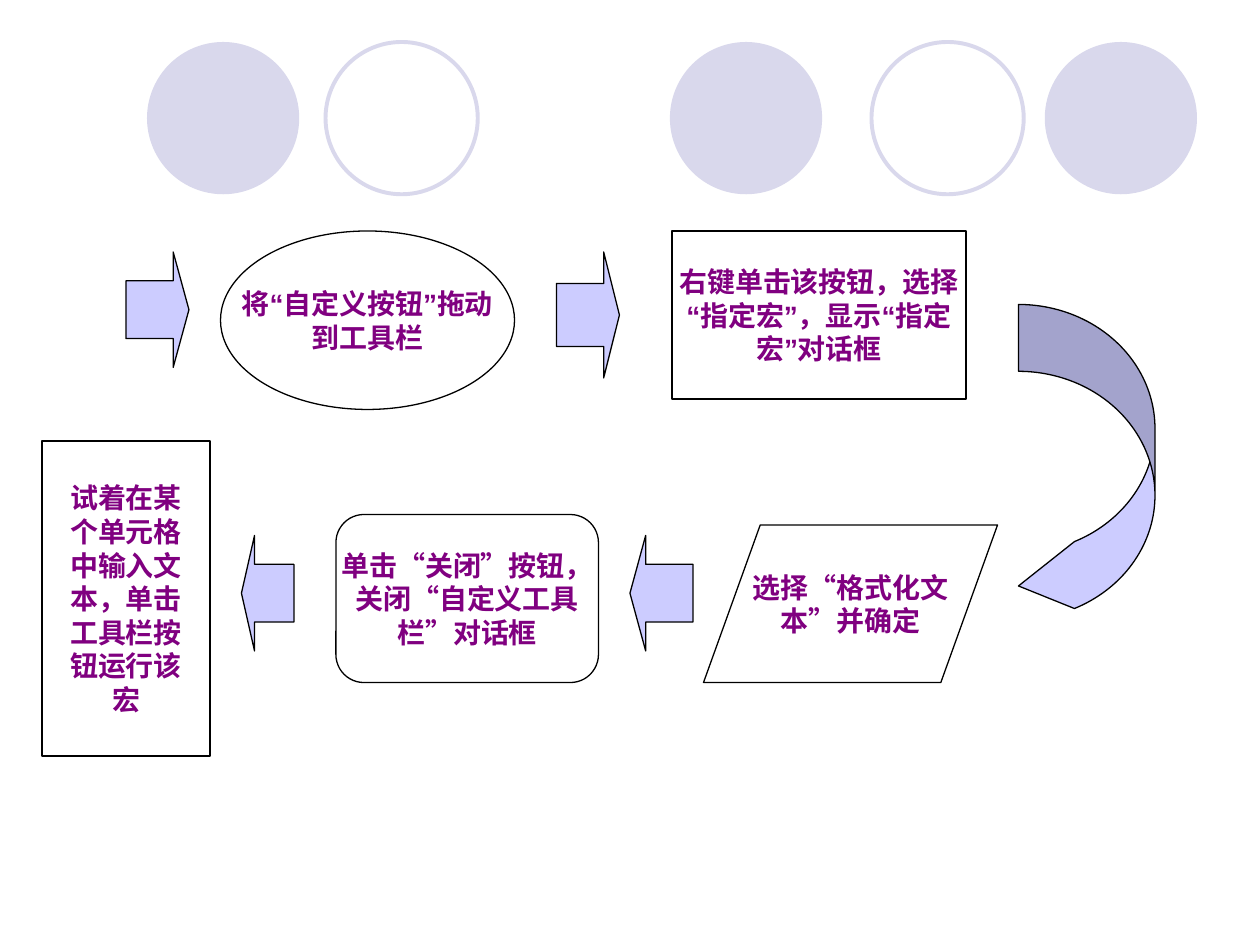
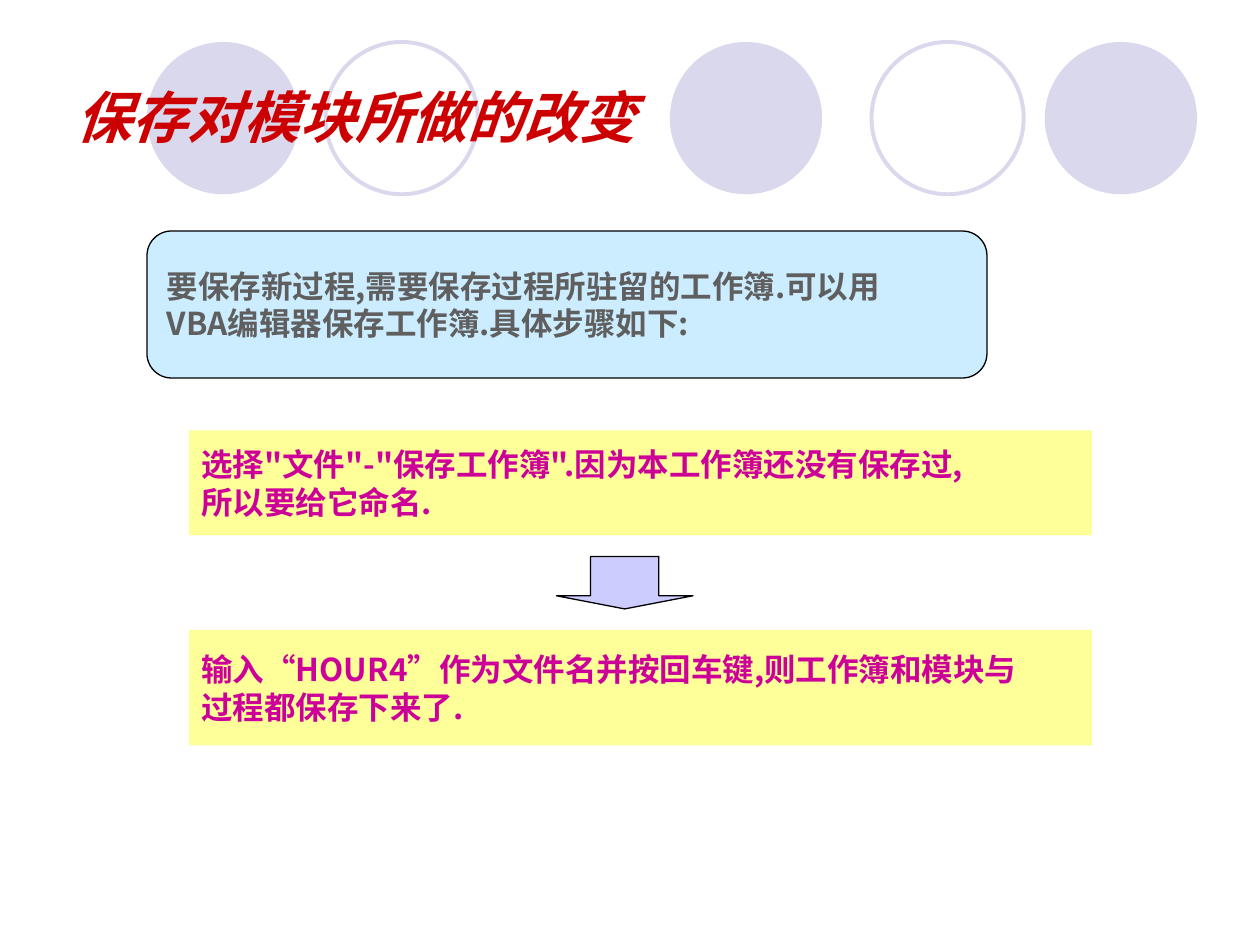
from dataclasses import dataclass

from lxml import etree
from pptx import Presentation
from pptx import util as u
from pptx.dml.color import RGBColor
from pptx.enum import shapes, text
from pptx.oxml.ns import qn

PX = u.Inches(1) // 120
SHAPE = shapes.MSO_SHAPE


@dataclass(frozen=True)
class Theme:
    circle: str = "D9D8EC"
    arrow: str = "CCCCFF"
    outline: str = "000000"
    step_text: str = "800080"
    title: str = "CC0000"
    intro_fill: str = "CCECFF"
    intro_text: str = "5F5F5F"
    note_fill: str = "FFFF99"
    note_text: str = "CC0099"
    latin: str = "Arial"
    cjk: str = "Noto Sans CJK SC"
    title_size: int = 32
    note_size: int = 18
    step_size: int = 16
    thin: float = 0.75
    ring: float = 2.25


class Deck:
    """Holds the theme and the slide being built."""

    def __init__(self, theme):
        self.theme = theme
        self.prs = Presentation()
        self.prs.slide_width, self.prs.slide_height = 1200 * PX, 900 * PX
        self.slide = None

    def new_slide(self, title=None):
        layout = self.prs.slide_layouts[5 if title else 6]
        self.slide = self.prs.slides.add_slide(layout)
        self.circles()
        if title:
            self.title(title)

    def circles(self):
        t = self.theme
        for left, filled in ((140, True), (310, False), (638, True),
                             (830, False), (995, True)):
            self.shape(SHAPE.OVAL, (left, 40, 145, 145),
                       fill=t.circle if filled else None,
                       line=None if filled else t.circle, weight=t.ring)

    def title(self, wording):
        t = self.theme
        heading = self.slide.shapes.title
        # Bring the heading in front of the circles
        self.slide.shapes._spTree.append(heading._element)
        heading.left, heading.top, heading.width, heading.height = (
            n * PX for n in (60, 36, 1080, 150))
        self.set_text(heading, wording, t.title_size, t.title, t.latin, t.cjk,
                      text.PP_ALIGN.LEFT, italic=True)

    def shape(self, kind, box, fill=None, line=None, weight=None, adjust=()):
        item = self.slide.shapes.add_shape(kind, *(n * PX for n in box))
        item.shadow.inherit = False
        for i, value in enumerate(adjust):
            item.adjustments[i] = value
        if fill:
            item.fill.solid()
            item.fill.fore_color.rgb = RGBColor.from_string(fill)
        else:
            item.fill.background()
        if line:
            item.line.color.rgb = RGBColor.from_string(line)
            item.line.width = u.Pt(weight or self.theme.thin)
        else:
            item.line.fill.background()
        return item

    def set_text(self, item, wording, size, color, latin, east_asian, align,
                 italic=False):
        frame = item.text_frame
        frame.text = wording
        frame.vertical_anchor = text.MSO_ANCHOR.MIDDLE
        for paragraph in frame.paragraphs:
            paragraph.alignment = align
            font = paragraph.font
            font.size, font.bold, font.italic = u.Pt(size), True, italic
            font.color.rgb = RGBColor.from_string(color)
            font.name = latin
            defaults = paragraph._p.pPr.find(qn("a:defRPr"))
            etree.SubElement(defaults, qn("a:ea"), typeface=east_asian)

    def step(self, kind, box, wording, adjust=(), east_asian=None):
        t = self.theme
        item = self.shape(kind, box, line=t.outline, adjust=adjust)
        item.text_frame.word_wrap = False
        self.set_text(item, wording, t.step_size, t.step_text, t.latin,
                      east_asian or t.cjk, text.PP_ALIGN.CENTER)

    def note(self, kind, box, wording, fill, color, line=None):
        t = self.theme
        item = self.shape(kind, box, fill=fill, line=line)
        item.text_frame.word_wrap = False
        self.set_text(item, wording, t.note_size, color, t.cjk, t.cjk,
                      text.PP_ALIGN.LEFT)

    def arrow(self, kind, box, adjust=(0.5, 0.25)):
        self.shape(kind, box, self.theme.arrow, self.theme.outline,
                   adjust=adjust)


def macro_button_slide(deck):
    latin = deck.theme.latin
    deck.new_slide()
    # Upper row, left to right
    deck.arrow(SHAPE.RIGHT_ARROW, (120, 240, 60, 110))
    deck.step(SHAPE.OVAL, (210, 220, 280, 170),
              "将“自定义按钮”拖动\n到工具栏", east_asian=latin)
    deck.arrow(SHAPE.RIGHT_ARROW, (530, 240, 60, 120))
    deck.step(SHAPE.RECTANGLE, (640, 220, 280, 160),
              "右键单击该按钮，选择\n“指定宏”，显示“指定\n宏”对话框",
              east_asian=latin)
    # Turn to the lower row
    deck.arrow(SHAPE.CURVED_LEFT_ARROW, (970, 290, 130, 300),
               (0.49, 0.49, 0.41))
    # Lower row, right to left
    deck.step(SHAPE.PARALLELOGRAM, (670, 500, 280, 150),
              "选择“格式化文\n本”并确定", (0.36,))
    deck.arrow(SHAPE.LEFT_ARROW, (600, 510, 60, 110))
    deck.step(SHAPE.ROUNDED_RECTANGLE, (320, 490, 250, 160),
              "单击“关闭”按钮，\n关闭“自定义工具\n栏”对话框")
    deck.arrow(SHAPE.LEFT_ARROW, (230, 510, 50, 110))
    deck.step(SHAPE.RECTANGLE, (40, 420, 160, 300),
              "试着在某\n个单元格\n中输入文\n本，单击\n工具栏按\n钮运行该\n宏")


def save_module_slide(deck):
    t = deck.theme
    deck.new_slide("保存对模块所做的改变")
    # Introduction
    deck.note(SHAPE.ROUNDED_RECTANGLE, (140, 220, 800, 140),
              "要保存新过程,需要保存过程所驻留的工作簿.可以用\n"
              "VBA编辑器保存工作簿.具体步骤如下:",
              t.intro_fill, t.intro_text, t.outline)
    # Saving steps
    for top, height, wording in (
            (410, 100, '选择"文件"-"保存工作簿".因为本工作簿还没有保存过,\n'
                       "所以要给它命名."),
            (600, 110, "输入“HOUR4”作为文件名并按回车键,则工作簿和模块与\n"
                       "过程都保存下来了.")):
        deck.note(SHAPE.RECTANGLE, (180, top, 860, height), wording,
                  t.note_fill, t.note_text)
    deck.arrow(SHAPE.DOWN_ARROW, (530, 530, 130, 50))


def main():
    deck = Deck(Theme())
    macro_button_slide(deck)
    save_module_slide(deck)
    deck.prs.save("out.pptx")


if __name__ == "__main__":
    main()
